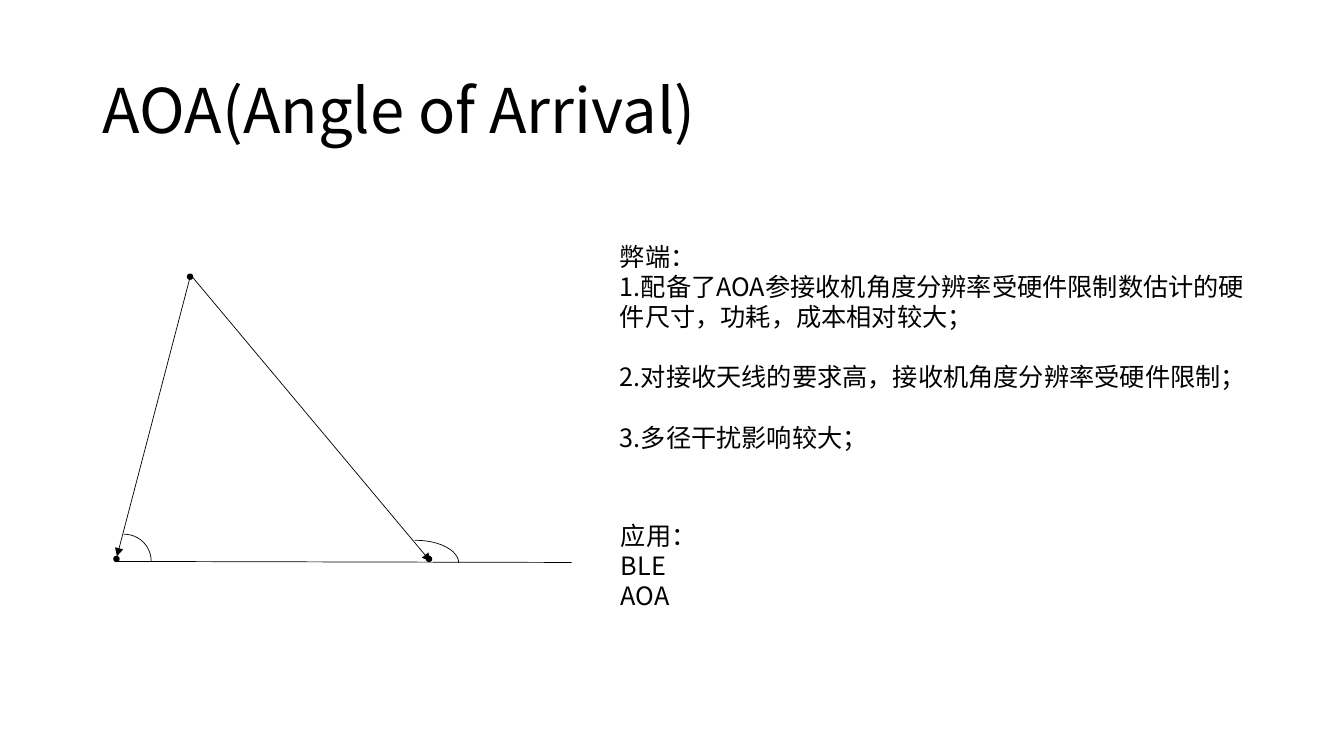
from lxml import etree
from pptx import Presentation
from pptx.dml.color import RGBColor
from pptx.enum.shapes import MSO_CONNECTOR, MSO_SHAPE
from pptx.enum.text import MSO_ANCHOR, MSO_AUTO_SIZE, PP_ALIGN
from pptx.oxml.ns import qn
from pptx.util import Inches, Pt

STRAIGHT = MSO_CONNECTOR.STRAIGHT
DOT = MSO_SHAPE.FLOWCHART_CONNECTOR
ARC = MSO_SHAPE.ARC
MIDDLE = MSO_ANCHOR.MIDDLE
FIT_TEXT = MSO_AUTO_SIZE.SHAPE_TO_FIT_TEXT
LEFT = PP_ALIGN.LEFT
TITLE_ONLY = 5
LINE_PITCH = 21.6


def color(value):
    """Turn a hex string into a colour."""
    return RGBColor.from_string(value)


class SlideBuilder:
    """Hold the style and the current slide."""

    def __init__(self, deck):
        """Add a page with only a title."""
        self.page = deck.slides.add_slide(deck.slide_layouts[TITLE_ONLY])
        self.font = "Noto Sans CJK SC"
        self.ink = "000000"

    def format_runs(self, para, size):
        """Apply the font, size and colour to each run."""
        for span in para.runs:
            span.font.name = self.font
            span.font.size = Pt(size)
            span.font.color.rgb = color(self.ink)
            latin = span.font._element.find(qn("a:latin"))
            east_asian = etree.Element(qn("a:ea"), typeface=self.font)
            latin.addnext(east_asian)

    def title(self, text, left, top, width, height):
        """Place and fill the title."""
        box = self.page.shapes.title
        box.left, box.top = Inches(left), Inches(top)
        box.width, box.height = Inches(width), Inches(height)
        frame = box.text_frame
        frame.text = text
        frame.vertical_anchor = MIDDLE
        para = frame.paragraphs[0]
        para.alignment = LEFT
        para.line_spacing = 0.9
        self.format_runs(para, 44)

    def text(self, lines, left, top, width, height):
        """Add a text box from pairs of wording and space before."""
        box = self.page.shapes.add_textbox(
            Inches(left), Inches(top), Inches(width), Inches(height))
        frame = box.text_frame
        frame.word_wrap = True
        frame.auto_size = FIT_TEXT
        frame.text = "\n".join(wording for wording, gap in lines)
        for para, (wording, gap) in zip(frame.paragraphs, lines):
            para.line_spacing = Pt(LINE_PITCH)
            if gap:
                para.space_before = Pt(gap)
            self.format_runs(para, 18)

    def outline(self, shape, weight):
        """Give a shape or connector its line."""
        shape.line.color.rgb = color(self.ink)
        shape.line.width = Pt(weight)

    def dot(self, left, top, size=0.05):
        """Add a solid point."""
        shape = self.page.shapes.add_shape(
            DOT, Inches(left), Inches(top), Inches(size), Inches(size))
        shape.shadow.inherit = False
        shape.fill.solid()
        shape.fill.fore_color.rgb = color(self.ink)
        self.outline(shape, 1)

    def arc(self, left, top, width, height, start=None):
        """Add an angle mark, with its start adjustment if given."""
        shape = self.page.shapes.add_shape(
            ARC, Inches(left), Inches(top), Inches(width), Inches(height))
        shape.shadow.inherit = False
        shape.fill.background()
        if start is not None:
            shape.adjustments[0] = start
        self.outline(shape, 0.5)

    def line(self, start, end, arrow=False):
        """Add a straight line, with an arrowhead at its end if asked."""
        points = [Inches(value) for value in (*start, *end)]
        connector = self.page.shapes.add_connector(STRAIGHT, *points)
        self.outline(connector, 0.5)
        if arrow:
            etree.SubElement(connector.line._get_or_add_ln(),
                             qn("a:tailEnd"), type="triangle")
        etree.SubElement(connector._element.spPr, qn("a:effectLst"))


def main():
    """Build and save the deck."""
    deck = Presentation()
    deck.slide_width, deck.slide_height = Inches(13.33), Inches(7.5)
    slide = SlideBuilder(deck)
    slide.title("AOA(Angle of Arrival)", 0.92, 0.4, 11.5, 1.45)

    for left, top in ((1.13, 5.52), (4.23, 5.52), (1.86, 2.72)):
        slide.dot(left, top)
    slide.line((1.88, 2.77), (1.16, 5.52), arrow=True)
    slide.line((1.91, 2.75), (4.27, 5.57), arrow=True)
    slide.line((1.14, 5.57), (5.67, 5.58))
    slide.arc(0.96, 5.3, 0.54, 0.53)
    slide.arc(3.69, 5.36, 0.86, 0.45, start=160.86)

    drawbacks = [
        ("弊端：", 0),
        ("1.配备了AOA参接收机角度分辨率受硬件限制数估计的硬件尺寸，功耗，成本相对较大；", 0),
        ("2.对接收天线的要求高，接收机角度分辨率受硬件限制；", LINE_PITCH),
        ("3.多径干扰影响较大；", LINE_PITCH),
    ]
    slide.text(drawbacks, 6.05, 2.34, 6.54, 2.83)
    slide.text([("应用：", 0), ("BLE AOA", 0)], 6.06, 5.11, 1.17, 0.71)
    deck.save("out.pptx")


if __name__ == "__main__":
    main()
